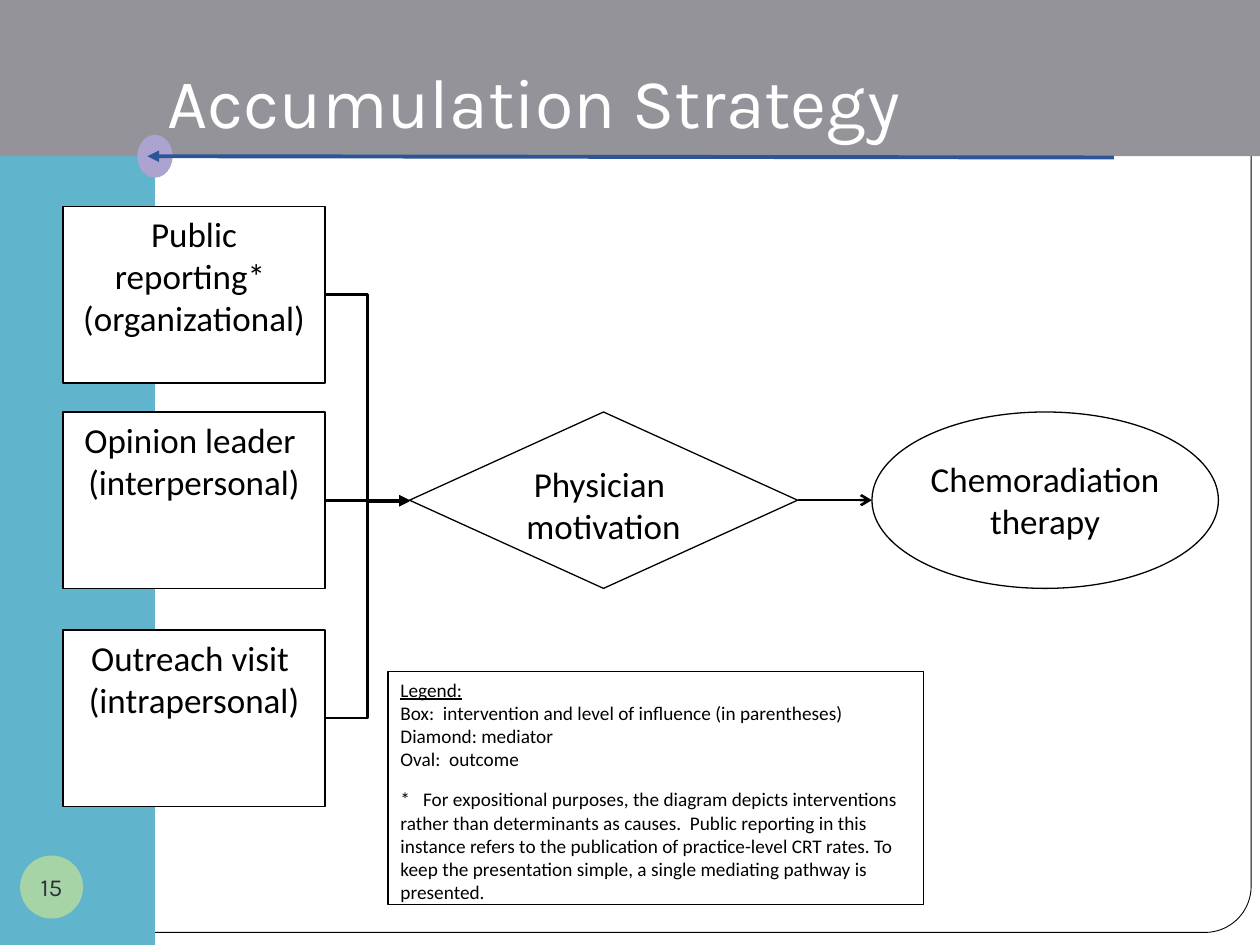
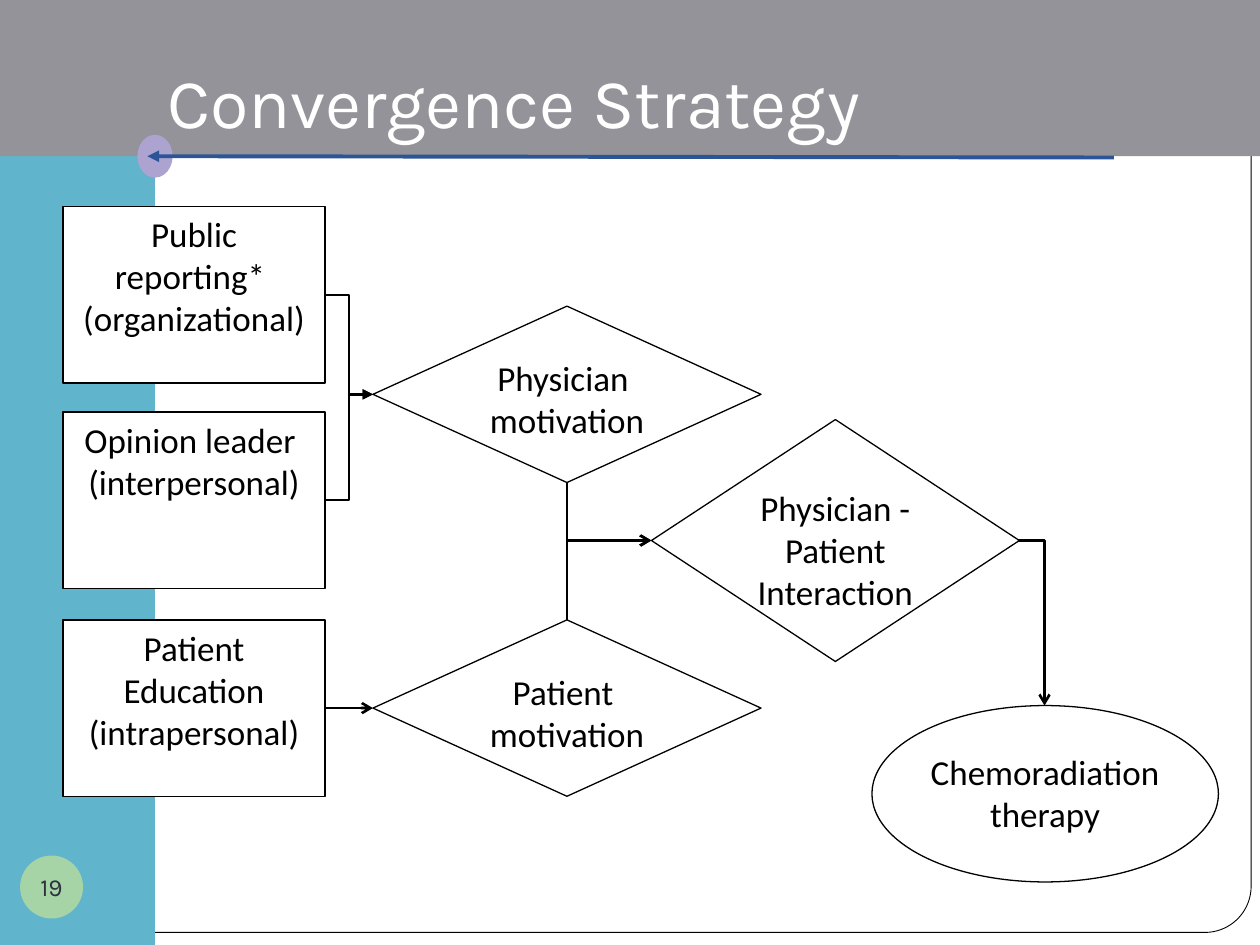
from lxml import etree
from pptx import Presentation
from pptx.dml.color import RGBColor
from pptx.enum.shapes import MSO_CONNECTOR, MSO_SHAPE
from pptx.enum.text import MSO_ANCHOR, MSO_AUTO_SIZE, PP_ALIGN
from pptx.oxml.ns import qn
from pptx.util import Inches, Pt

RECT, OVAL = MSO_SHAPE.RECTANGLE, MSO_SHAPE.OVAL
DIAMOND, ROUNDED = MSO_SHAPE.DIAMOND, MSO_SHAPE.ROUNDED_RECTANGLE
STRAIGHT, ELBOW = MSO_CONNECTOR.STRAIGHT, MSO_CONNECTOR.ELBOW
LEFT, CENTER = PP_ALIGN.LEFT, PP_ALIGN.CENTER
TOP, MIDDLE, BOTTOM = MSO_ANCHOR.TOP, MSO_ANCHOR.MIDDLE, MSO_ANCHOR.BOTTOM

COLORS = {
    "white": "FFFFFF", "black": "000000", "side": "60B5CC", "band": "939399",
    "badge": "A6D4A7", "dot": "ADA3D1", "rule": "2C5598", "number": "2D313C",
}
BODY_FONT, TITLE_FONT = "Calibri", "Karla"
BOX_SIZE, DIAMOND_SIZE, OVAL_SIZE = (2.08, 1.4), (3.08, 1.4), (2.75, 1.4)
BOX_LEFT, OVAL_LEFT = 0.5, 6.92
BOX_RIGHT = BOX_LEFT + BOX_SIZE[0]


def add_box(page, kind, at, fill="white", line=None, text="", size=20):
    """Add a filled shape; \\v in the text breaks a line."""
    box = page.shapes.add_shape(kind, *[Inches(length) for length in at])
    box.shadow.inherit = False
    box.fill.solid()
    box.fill.fore_color.rgb = RGBColor.from_string(COLORS[fill])
    if line:
        box.line.color.rgb = RGBColor.from_string(COLORS["black"])
        box.line.width = Pt(line)
    else:
        box.line.fill.background()
    if text:
        frame = box.text_frame
        frame.word_wrap = True
        frame.vertical_anchor = TOP
        para = frame.paragraphs[0]
        para.text = text
        para.alignment = CENTER
        para.space_after = Pt(10)
        para.font.name, para.font.size = BODY_FONT, Pt(size)
        para.font.color.rgb = RGBColor.from_string(COLORS["black"])
    return box


def add_arrow(page, kind, start, end, color="black", width=1.5, head="triangle",
              arrow_end="tailEnd", single_bend=False):
    """Add a connector with an arrowhead at its start or its end."""
    arrow = page.shapes.add_connector(
        kind, *[Inches(length) for length in (*start, *end)])
    arrow.line.color.rgb = RGBColor.from_string(COLORS[color])
    arrow.line.width = Pt(width)
    properties = arrow._element.spPr
    if single_bend:
        properties.find(qn("a:prstGeom")).set("prst", "bentConnector2")
    etree.SubElement(properties.find(qn("a:ln")), qn("a:" + arrow_end), type=head)
    etree.SubElement(properties, qn("a:effectLst"))
    return arrow


deck = Presentation()
deck.slide_width, deck.slide_height = Inches(10), Inches(7.5)
layout = deck.slide_layouts[5]

# Both slides, with their titles and page numbers
pages = []
for title_text, number in [("Accumulation Strategy", "15"),
                           ("Convergence Strategy", "19")]:
    page = deck.slides.add_slide(layout)
    pages.append(page)

    title = page.shapes.title
    title.left, title.top = Inches(1.23), Inches(-0.02)
    title.width, title.height = Inches(8.27), Inches(1.25)
    frame = title.text_frame
    frame.auto_size = MSO_AUTO_SIZE.NONE
    frame.vertical_anchor = BOTTOM
    frame.margin_bottom = Inches(0.1)
    para = frame.paragraphs[0]
    para.text = title_text
    para.alignment = LEFT
    para.font.name, para.font.size = TITLE_FONT, Pt(40)
    para.font.color.rgb = RGBColor.from_string(COLORS["white"])

    badge = add_box(page, OVAL, (0.16, 6.79, 0.5, 0.5), "badge", text=number, size=14)
    frame = badge.text_frame
    frame.word_wrap = False
    frame.vertical_anchor = MIDDLE
    frame.margin_left = frame.margin_right = 0
    frame.margin_top = frame.margin_bottom = 0
    para = frame.paragraphs[0]
    para.space_after = Pt(0)
    para.font.name = TITLE_FONT
    para.font.color.rgb = RGBColor.from_string(COLORS["number"])

accumulation, convergence = pages

# Shared background: drawn once, then moved into the layout
panel = add_box(accumulation, ROUNDED, (0, 0.08, 9.93, 7.32), line=0.5)
panel.adjustments[0] = 0.05
background = [
    panel,
    add_box(accumulation, RECT, (0, 0, 1.23, 7.5), "side"),
    add_box(accumulation, RECT, (0, 0, 10, 1.24), "band"),
    add_box(accumulation, OVAL, (1.09, 1.07, 0.28, 0.34), "dot"),
    add_arrow(accumulation, STRAIGHT, (8.84, 1.25), (1.17, 1.24), "rule", 2.25),
]
for position, shape in enumerate(background, start=2):
    layout.shapes._spTree.insert(position, shape._element)

# Intervention boxes, and the outcome oval with its label
columns = [
    (accumulation, 5, "Outreach visit \v(intrapersonal)", 3.27),
    (convergence, 4.92, "Patient Education\v(intrapersonal)", 5.6),
]
for page, last_top, last_text, oval_top in columns:
    for top, text in [(1.64, "Public reporting* \v(organizational)"),
                      (3.27, "Opinion leader \v(interpersonal)"),
                      (last_top, last_text)]:
        add_box(page, RECT, (BOX_LEFT, top, *BOX_SIZE), line=0.75, text=text)
    add_box(page, OVAL, (OVAL_LEFT, oval_top, *OVAL_SIZE), line=0.75)
    add_box(page, RECT, (OVAL_LEFT + 0.29, oval_top + 0.31, 2.17, 0.77),
            text="Chemoradiation\vtherapy")

# Mediator diamonds
mediators = [
    (accumulation, (3.25, 3.27, *DIAMOND_SIZE), "Physician \vmotivation"),
    (convergence, (2.96, 2.43, *DIAMOND_SIZE), "Physician \vmotivation"),
    (convergence, (2.96, 4.92, *DIAMOND_SIZE), "Patient \vmotivation"),
    (convergence, (5.17, 3.33, 2.92, 1.92), "Physician - Patient\vInteraction"),
]
for page, at, text in mediators:
    add_box(page, DIAMOND, at, line=0.75, text=text)

# Arrows from the interventions to the mediators
for page, box_middle, target, head in [
        (accumulation, 2.34, (3.25, 3.97), "triangle"),
        (accumulation, 5.7, (3.25, 3.97), "triangle"),
        (accumulation, 3.97, (3.25, 3.98), "triangle"),
        (convergence, 2.34, (2.96, 3.13), "triangle"),
        (convergence, 3.97, (2.96, 3.13), "triangle"),
        (convergence, 5.62, (2.96, 5.62), "arrow")]:
    add_arrow(page, ELBOW, (BOX_RIGHT, box_middle), target, head=head)

# Arrows from the mediators onward
add_arrow(accumulation, ELBOW, (6.33, 3.97), (OVAL_LEFT, 3.97), head="arrow")
for motivation_edge in (3.83, 4.92):
    add_arrow(convergence, ELBOW, (5.17, 4.29), (4.5, motivation_edge),
              head="arrow", arrow_end="headEnd", single_bend=True)
add_arrow(convergence, ELBOW, (8.08, 4.29), (8.29, 5.6), head="arrow",
          single_bend=True)

# Legend
legend = add_box(accumulation, RECT, (3.08, 5.33, 4.25, 1.85), line=0.75)
frame = legend.text_frame
frame.word_wrap = True
frame.vertical_anchor = TOP
key = frame.paragraphs[0]
heading = key.add_run()
heading.text = "Legend:"
heading.font.underline = True
for line_text in ("Box:  intervention and level of influence (in parentheses) ",
                  "Diamond: mediator", "Oval:  outcome"):
    key.add_line_break()
    key.add_run().text = line_text
footnote = frame.add_paragraph()
footnote.text = (
    "*   For expositional purposes, the diagram depicts interventions rather than "
    "determinants as causes.  Public reporting in this instance refers to the "
    "publication of practice-level CRT rates. To keep the presentation simple, a "
    "single mediating pathway is presented.")
for para in frame.paragraphs:
    para.alignment = LEFT
    para.space_after = Pt(10)
    para.font.name, para.font.size = BODY_FONT, Pt(11)
    para.font.color.rgb = RGBColor.from_string(COLORS["black"])

deck.save("out.pptx")
